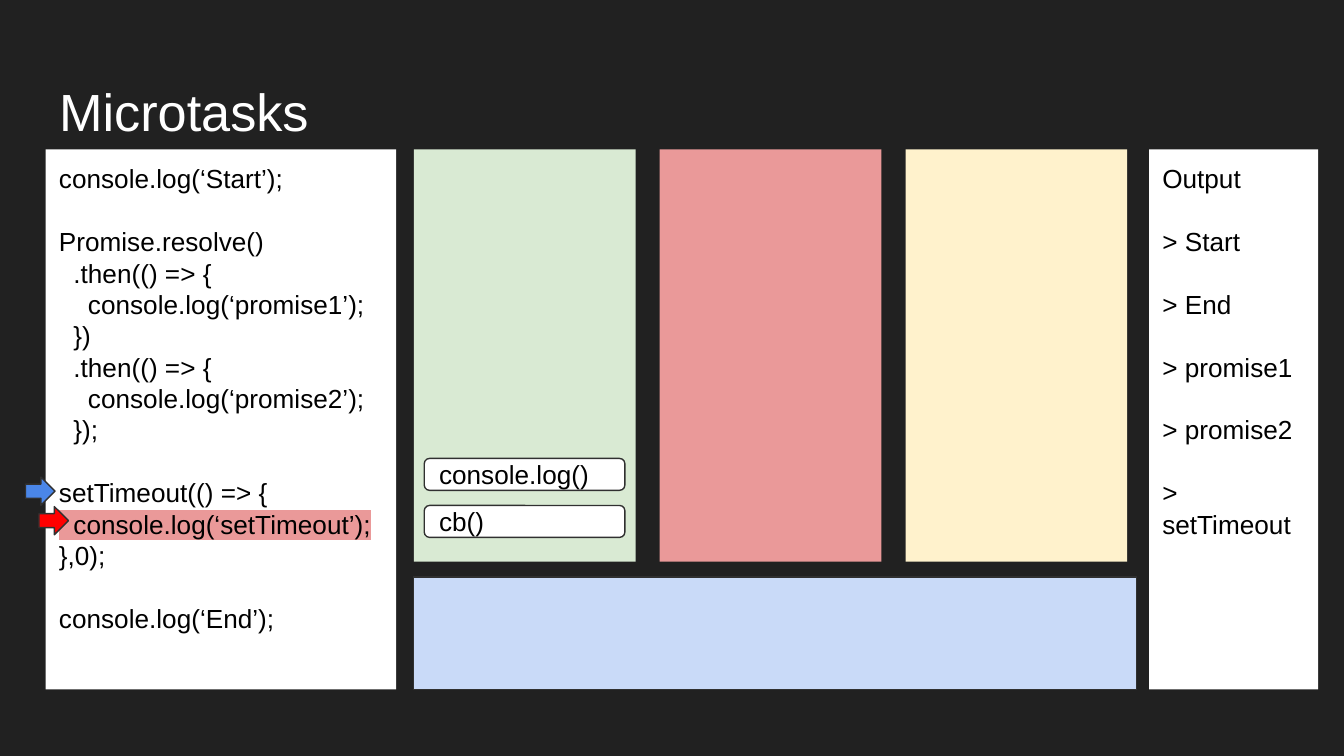
from pptx import Presentation
from pptx.dml.color import RGBColor
from pptx.enum import shapes, text
from pptx.oxml import parse_xml
from pptx.oxml.ns import nsdecls
from pptx.util import Pt

TITLE = "Microtasks"
CODE = """console.log(‘Start’);

Promise.resolve()
  .then(() => {
    console.log(‘promise1’);
  })
  .then(() => {
    console.log(‘promise2’);
  });

setTimeout(() => {
  console.log(‘setTimeout’);
},0);

console.log(‘End’);""".split("\n")
OUTPUT = "Output", "> Start", "> End", "> promise1", "> promise2", "> setTimeout"
ACTIVE = "  console.log(‘setTimeout’);"
LANES = "D9EAD3", "EA9999", "FFF2CC"
STACK = "cb()", "console.log()"
ARROWS = (13.7, 255.6, "4A86E8"), (20.9, 271.4, "FF0000")
INK, WHITE, EDGE, MARK = "000000", "FFFFFF", "303030", "EA9999"
TOP, TALL, LANE, STEP = 80, 289.4, 118.8, 131.7
LINE = 16.8
KIND = shapes.MSO_SHAPE


def color(code):
    return RGBColor.from_string(code)


def style(item, **values):
    for name, value in values.items():
        setattr(item, name, value)


def frame(item, anchor):
    style(item.text_frame, word_wrap=True, vertical_anchor=anchor,
          **{"margin_" + side: Pt(7.2) for side in ("left", "top", "right", "bottom")})


def write(para, words, size, ink):
    run = para.add_run()
    run.text = words
    style(run.font, name="Arial", size=Pt(size))
    run.font.color.rgb = color(ink)
    para.alignment = text.PP_ALIGN.LEFT
    return run


def draw(kind, left, top, width, height, fill, edge=None):
    item = slide.shapes.add_shape(kind, Pt(left), Pt(top), Pt(width), Pt(height))
    item.shadow.inherit = False
    item.fill.solid()
    item.fill.fore_color.rgb = color(fill)
    if edge:
        item.line.color.rgb = color(edge)
        item.line.width = Pt(0.75)
    else:
        item.line.fill.background()
    return item


def panel(left, width, lines, gap=0):
    item = draw(KIND.RECTANGLE, left, TOP, width, TALL, WHITE)
    frame(item, text.MSO_ANCHOR.TOP)
    para, space = item.text_frame.paragraphs[0], 0
    for words in lines:
        if not words:
            space = LINE
            continue
        if para.runs:
            para = item.text_frame.add_paragraph()
        style(para, line_spacing=Pt(LINE), space_before=Pt(space))
        run = write(para, words, 14, INK)
        if words == ACTIVE:
            mark = parse_xml(f'<a:highlight {nsdecls("a")}><a:srgbClr val="{MARK}"/></a:highlight>')
            run.font.fill._xPr.find("{*}solidFill").addnext(mark)
        space = gap


deck = Presentation()
style(deck, slide_width=Pt(720), slide_height=Pt(405))
slide = deck.slides.add_slide(deck.slide_layouts[5])
slide.background.fill.solid()
slide.background.fill.fore_color.rgb = color("212121")

title = slide.shapes.title
style(title, left=Pt(24.5), top=Pt(35.3), width=Pt(671), height=Pt(45.4))
frame(title, text.MSO_ANCHOR.TOP)
title.text_frame.auto_size = text.MSO_AUTO_SIZE.NONE
write(title.text_frame.paragraphs[0], TITLE, 28, WHITE)

for i, fill in enumerate(LANES):
    draw(KIND.RECTANGLE, 221.7 + i * STEP, TOP, LANE, 221, fill)
draw(KIND.RECTANGLE, 221.7, 309.2, 387.2, 60.2, "C9DAF8", EDGE)
panel(24.5, 187.8, CODE)
panel(615.6, 90.6, OUTPUT, LINE)

for i, words in enumerate(STACK):
    call = draw(KIND.ROUNDED_RECTANGLE, 227.3, 270.8 - i * 25.2, 107.5, 17.1, WHITE, EDGE)
    frame(call, text.MSO_ANCHOR.MIDDLE)
    write(call.text_frame.paragraphs[0], words, 14, INK)
for left, top, fill in ARROWS:
    draw(KIND.RIGHT_ARROW, left, top, 15.8, 15.1, fill, EDGE)

deck.save("out.pptx")
